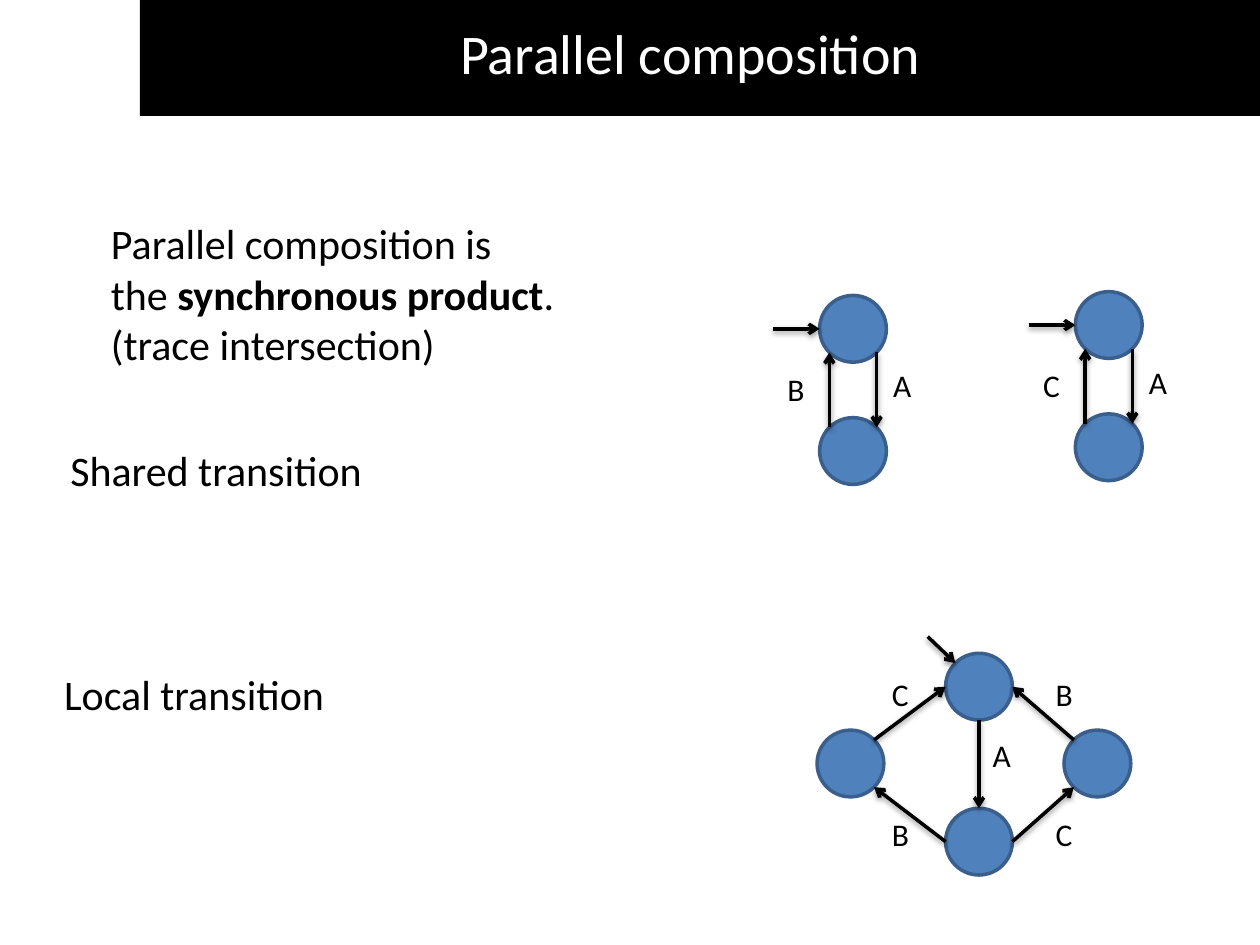
from dataclasses import dataclass
from math import sqrt

from lxml import etree
from pptx import Presentation
from pptx import util as u
from pptx.dml.color import RGBColor
from pptx.enum import shapes, text
from pptx.oxml import parse_xml
from pptx.oxml.ns import nsdecls, qn

DIAMETER = 0.53
RADIUS = DIAMETER / 2
DIAGONAL = RADIUS / sqrt(2)
SITES = {
    "top": (0, -RADIUS), "bottom": (0, RADIUS),
    "left": (-RADIUS, 0), "right": (RADIUS, 0),
    "top_left": (-DIAGONAL, -DIAGONAL), "top_right": (DIAGONAL, -DIAGONAL),
    "bottom_left": (-DIAGONAL, DIAGONAL), "bottom_right": (DIAGONAL, DIAGONAL),
}


@dataclass(frozen=True)
class Theme:
    """Colours, font and type sizes of the slide."""
    font: str = "Calibri"
    black: str = "000000"
    white: str = "FFFFFF"
    node: str = "4F81BD"
    node_line: str = "3A5F8C"
    title: int = 32
    body: int = 24
    label: int = 18
    line: int = 2


class Deck:
    """Holds the theme and the current slide, and draws each kind of element."""

    def __init__(self, prs, theme):
        self.theme = theme
        self.s = prs.slides.add_slide(prs.slide_layouts[1])

    def box(self, *at):
        return [u.Inches(v) for v in at]

    def band(self, at, color, alpha=None):
        sp = self.s.shapes.add_shape(shapes.MSO_SHAPE.RECTANGLE, *self.box(*at))
        sp.shadow.inherit = False
        sp.fill.solid()
        sp.fill.fore_color.rgb = RGBColor.from_string(color)
        sp.line.fill.background()
        if alpha:
            clr = sp._element.spPr.find(".//" + qn("a:srgbClr"))
            etree.SubElement(clr, qn("a:alpha"), val=str(alpha * 1000))

    def fill_text(self, sp, lines, size, color, wrap=False, align=text.PP_ALIGN.LEFT):
        tf = sp.text_frame
        frame = {"word_wrap": wrap, "auto_size": text.MSO_AUTO_SIZE.SHAPE_TO_FIT_TEXT,
                 "vertical_anchor": text.MSO_ANCHOR.TOP}
        for name, value in frame.items():
            setattr(tf, name, value)
        for i, runs in enumerate(lines):
            p = tf.add_paragraph() if i else tf.paragraphs[0]
            for name, value in {"alignment": align, "space_before": u.Pt(0)}.items():
                setattr(p, name, value)
            if sp.is_placeholder:
                pPr = p._p.get_or_add_pPr()
                pPr.set("marL", "0")
                pPr.set("indent", "0")
                etree.SubElement(pPr, qn("a:buNone"))
            for content, bold in runs:
                r = p.add_run()
                r.text = content
                fmt = {"name": self.theme.font, "size": u.Pt(size), "bold": bold}
                for name, value in fmt.items():
                    setattr(r.font, name, value)
                r.font.color.rgb = RGBColor.from_string(color)

    def placeholder(self, idx, at, lines, size, color, **fmt):
        sp = self.s.placeholders[idx]
        for name, value in zip(("left", "top", "width", "height"), self.box(*at)):
            setattr(sp, name, value)
        self.s.shapes._spTree.append(sp._element)
        self.fill_text(sp, lines, size, color, **fmt)

    def textbox(self, parent, at, content, size):
        sp = parent.add_textbox(*self.box(*at))
        self.fill_text(sp, [[(content, False)]], size, self.theme.black)

    def node(self, parent, center):
        x, y = center
        at = self.box(x - RADIUS, y - RADIUS, DIAMETER, DIAMETER)
        sp = parent.add_shape(shapes.MSO_SHAPE.OVAL, *at)
        sp.shadow.inherit = False
        sp.fill.solid()
        sp.fill.fore_color.rgb = RGBColor.from_string(self.theme.node)
        sp.line.color.rgb = RGBColor.from_string(self.theme.node_line)
        sp.line.width = u.Pt(self.theme.line)

    def arrow(self, parent, start, end):
        cx = parent.add_connector(shapes.MSO_CONNECTOR.STRAIGHT, *self.box(*start, *end))
        cx.line.color.rgb = RGBColor.from_string(self.theme.black)
        cx.line.width = u.Pt(self.theme.line)
        ln = cx._element.spPr.find(qn("a:ln"))
        etree.SubElement(ln, qn("a:tailEnd"), type="arrow")
        cx._element.spPr.append(parse_xml(
            f'<a:effectLst {nsdecls("a")}><a:outerShdw blurRad="40000" dist="20000" '
            f'dir="5400000" rotWithShape="0"><a:srgbClr val="{self.theme.black}">'
            '<a:alpha val="38000"/></a:srgbClr></a:outerShdw></a:effectLst>'))

    def automaton(self, nodes, edges, entry, labels):
        group = self.s.shapes.add_group_shape().shapes
        for center in nodes.values():
            self.node(group, center)

        def site(name, side):
            return [c + d for c, d in zip(nodes[name], SITES[side])]

        for a, a_side, b, b_side in edges:
            self.arrow(group, site(a, a_side), site(b, b_side))
        name, side, (dx, dy) = entry
        x, y = site(name, side)
        self.arrow(group, (x - dx, y - dy), (x, y))
        for content, x, y in labels:
            self.textbox(group, (x, y, 0.34, 0.4), content, self.theme.label)


def main():
    prs = Presentation()
    prs.slide_width, prs.slide_height = u.Inches(10), u.Inches(7.5)
    theme = Theme()
    deck = Deck(prs, theme)

    deck.band((0, 0.12, 2.24, 0.57), theme.white, alpha=76)
    deck.band((1.11, 0, 8.89, 0.92), theme.black)
    deck.placeholder(0, (0.96, 0.1, 9.04, 0.64), [[("Parallel composition", False)]],
                     theme.title, theme.white, wrap=True, align=text.PP_ALIGN.CENTER)
    deck.placeholder(1, (0.78, 1.68, 3.81, 1.31), [
        [("Parallel composition is", False)],
        [("the ", False), ("synchronous product", True), (".", False)],
        [("(trace intersection)", False)],
    ], theme.body, theme.black)

    for x, y, local in ((6.77, 2.61, "B"), (8.8, 2.58, "C")):
        deck.automaton(
            {"first": (x, y), "second": (x, y + 0.97)},
            [("first", "bottom_right", "second", "top_right"),
             ("second", "top_left", "first", "bottom_left")],
            ("first", "left", (0.37, 0)),
            [("A", x + 0.22, y + 0.25), (local, x - 0.62, y + 0.28)])

    deck.automaton(
        {"start": (7.77, 5.45), "end": (7.77, 6.68),
         "right": (8.71, 6.06), "left": (6.75, 6.06)},
        [("start", "bottom", "end", "top"),
         ("end", "right", "right", "bottom_left"),
         ("right", "top_left", "start", "right"),
         ("end", "left", "left", "bottom_right"),
         ("left", "top_right", "start", "left")],
        ("start", "top_left", (0.22, 0.21)),
        [("A", 7.78, 5.79), ("B", 8.28, 5.31), ("B", 6.98, 6.42),
         ("C", 6.98, 5.31), ("C", 8.28, 6.42)])

    for content, at in (("Shared transition", (0.46, 3.48, 2.54, 0.5)),
                        ("Local transition", (0.41, 5.26, 2.29, 0.5))):
        deck.textbox(deck.s.shapes, at, content, theme.body)

    prs.save("out.pptx")


if __name__ == "__main__":
    main()
